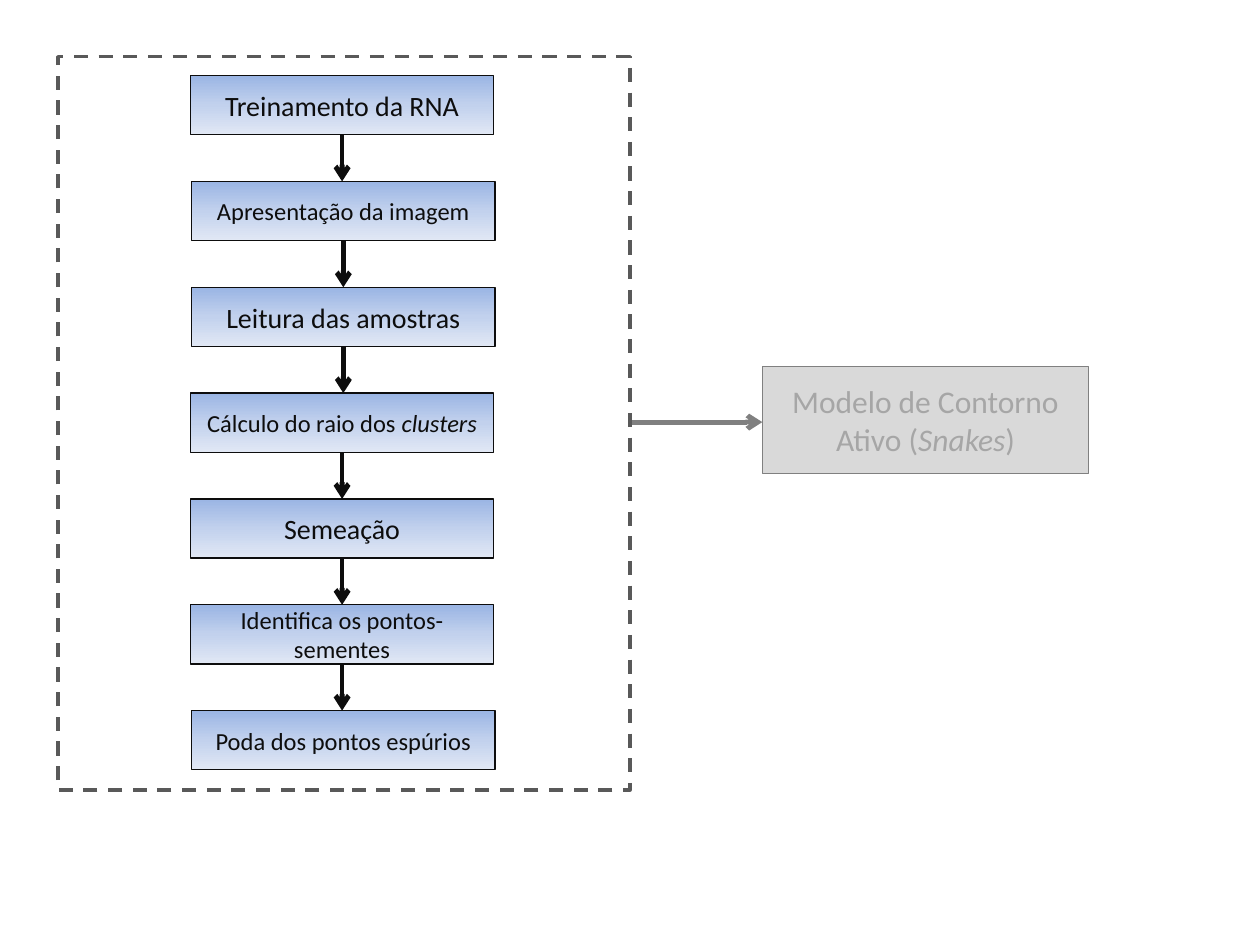
import copy

import pptx
import pptx.dml.color
import pptx.enum.dml
import pptx.enum.shapes
import pptx.enum.text
import pptx.oxml
import pptx.oxml.ns
import pptx.util

Inches = pptx.util.Inches
Pt = pptx.util.Pt

INK = "0D0D0D"
GREY = "808080"
STEP_GRADIENT = [(0, "9AB5E4"), (0.5, "C2D1ED"), (1, "E1E8F5")]
STEPS = [
    (1.51, 16, ["Treinamento da RNA"]),
    (1.52, 14, ["Apresentação da imagem"]),
    (1.52, 16, ["Leitura das amostras"]),
    (1.51, 14, ["Cálculo do raio dos ", "clusters"]),
    (1.51, 16, ["Semeação"]),
    (1.51, 14, ["Identifica os pontos-sementes"]),
    (1.52, 14, ["Poda dos pontos espúrios"]),
]


def rgb(color):
    return pptx.dml.color.RGBColor.from_string(color)


def add_box(slide, left, top, width, height, line_color, line_width=0.75):
    box = slide.shapes.add_shape(
        pptx.enum.shapes.MSO_SHAPE.RECTANGLE,
        Inches(left), Inches(top), Inches(width), Inches(height))
    box.shadow.inherit = False
    box.line.color.rgb = rgb(line_color)
    box.line.width = Pt(line_width)
    return box


def write_label(box, parts, size, color):
    box.text_frame.word_wrap = True
    box.text_frame.vertical_anchor = pptx.enum.text.MSO_ANCHOR.MIDDLE
    label = box.text_frame.paragraphs[0]
    label.alignment = pptx.enum.text.PP_ALIGN.CENTER
    label.font.name = "Calibri"
    label.font.size = Pt(size)
    label.font.color.rgb = rgb(color)
    for index, part in enumerate(parts):
        run = label.add_run()
        run.text = part
        if index % 2:
            run.font.italic = True


def fill_gradient(box, stops):
    box.fill.gradient()
    box.fill.gradient_angle = 270
    stop_list = box._element.spPr.find(".//" + pptx.oxml.ns.qn("a:gsLst"))
    stop_list.append(copy.deepcopy(stop_list[-1]))
    for stop, (position, color) in zip(box.fill.gradient_stops, stops):
        stop.position = position
        stop.color.rgb = rgb(color)


def add_arrow(slide, start, end, color):
    arrow = slide.shapes.add_connector(
        pptx.enum.shapes.MSO_CONNECTOR.STRAIGHT,
        *[Inches(value) for value in (*start, *end)])
    arrow.line.color.rgb = rgb(color)
    arrow.line.width = Pt(2.75)
    head = pptx.oxml.parse_xml(
        f'<a:tailEnd {pptx.oxml.ns.nsdecls("a")} type="arrow"/>')
    arrow.line._get_or_add_ln().append(head)
    arrow._element.spPr.append(pptx.oxml.parse_xml(
        f'<a:effectLst {pptx.oxml.ns.nsdecls("a")}/>'))


def add_frame(slide, left, top, width, height):
    frame = add_box(slide, left, top, width, height, "595959", 2)
    frame.fill.background()
    frame.line.dash_style = pptx.enum.dml.MSO_LINE.DASH


def add_steps(slide, top, width, height, pitch):
    for index, (left, size, parts) in enumerate(STEPS):
        step_top = top + index * pitch
        step = add_box(slide, left, step_top, width, height, INK)
        fill_gradient(step, STEP_GRADIENT)
        write_label(step, parts, size, INK)
        if index < len(STEPS) - 1:
            center = left + width / 2
            add_arrow(slide, (center, step_top + height),
                      (center, step_top + pitch), INK)


def add_contour_model(slide, left, top, width, height):
    model = add_box(slide, left, top, width, height, GREY)
    model.fill.solid()
    model.fill.fore_color.rgb = rgb("D9D9D9")
    write_label(model, ["Modelo de Contorno Ativo (", "Snakes", ")"], 18, "A6A6A6")


def main():
    deck = pptx.Presentation()
    deck.slide_width = Inches(10)
    deck.slide_height = Inches(7.5)
    slide = deck.slides.add_slide(deck.slide_layouts[6])
    add_frame(slide, 0.46, 0.45, 4.54, 5.82)
    add_steps(slide, 0.6, 2.41, 0.47, 0.84)
    add_contour_model(slide, 6.05, 2.91, 2.59, 0.85)
    add_arrow(slide, (5.02, 3.35), (6.05, 3.35), GREY)
    deck.save("out.pptx")


if __name__ == "__main__":
    main()
